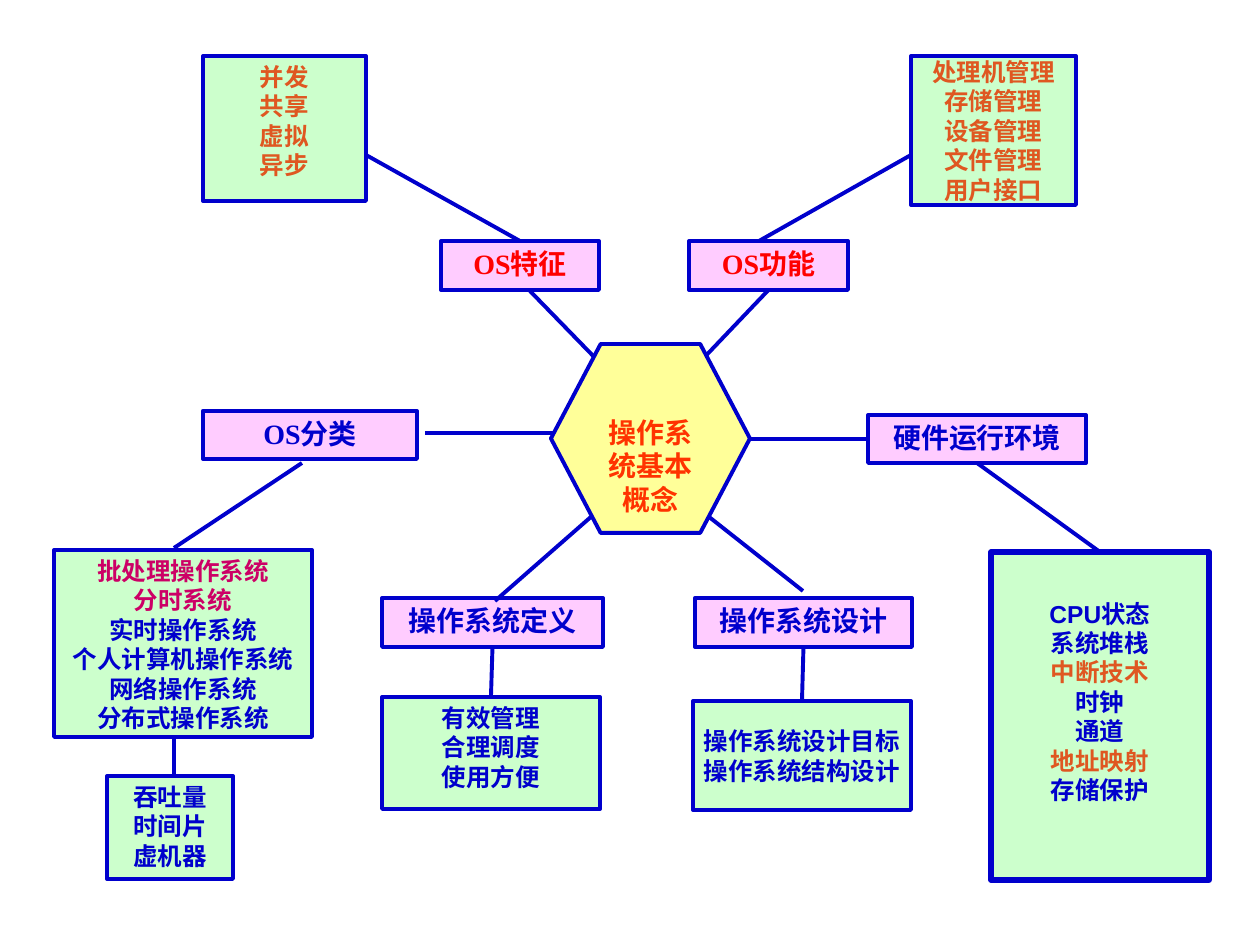
from dataclasses import dataclass
from lxml.etree import SubElement
from pptx import Presentation
from pptx.dml.color import RGBColor
from pptx.enum.shapes import MSO_CONNECTOR, MSO_SHAPE
from pptx.enum.text import MSO_ANCHOR, PP_ALIGN
from pptx.oxml.ns import qn
from pptx.util import Pt

SCALE = 914400 / 126  # EMU in one px


@dataclass(frozen=True)
class Theme:
    blue: str = "0000CC"
    red: str = "FF0000"
    rust: str = "DF5721"
    wine: str = "CC0066"
    flame: str = "FF3300"
    green: str = "CCFFCC"
    pink: str = "FFCCFF"
    yellow: str = "FFFF99"
    serif: str = "Times New Roman"
    sans: str = "Arial"
    head: int = 16
    body: int = 14
    thin: float = 2.25
    thick: float = 3


def emu(px):
    return round(px * SCALE)


def rgb(code):
    return RGBColor.from_string(code)


class Map:
    def __init__(self, slide, theme):
        self.slide = slide
        self.theme = theme

    def node(self, kind, at, fill, width=None):
        shape = self.slide.shapes.add_shape(kind, *map(emu, at))
        shape.shadow.inherit = False
        shape.fill.solid()
        shape.fill.fore_color.rgb = rgb(fill)
        shape.line.color.rgb = rgb(self.theme.blue)
        shape.line.width = Pt(width or self.theme.thin)
        return shape

    def label(self, shape, rows, font, size, middle=False, top=6, base=6):
        """Each row is a pair of text and colour."""
        frame = shape.text_frame
        frame.word_wrap = not middle
        frame.vertical_anchor = MSO_ANCHOR.MIDDLE if middle else MSO_ANCHOR.TOP
        frame.margin_top, frame.margin_bottom = emu(top), emu(base)
        for i, (text, color) in enumerate(rows):
            para = frame.add_paragraph() if i else frame.paragraphs[0]
            para.alignment = PP_ALIGN.CENTER
            run = para.add_run()
            run.text = text
            run.font.name = font
            run.font.size = Pt(size)
            run.font.bold = True
            run.font.color.rgb = rgb(color)

    def topic(self, at, text, color):
        shape = self.node(MSO_SHAPE.RECTANGLE, at, self.theme.pink)
        self.label(shape, [(text, color)], self.theme.serif, self.theme.head)
        return shape

    def detail(self, at, text, color, marks=None, middle=False, base=6, width=None):
        """One line per word; marks gives some words their own colour."""
        marks = marks or {}
        rows = [(word, marks.get(word, color)) for word in text.split()]
        shape = self.node(MSO_SHAPE.RECTANGLE, at, self.theme.green, width)
        font = self.theme.sans if middle else self.theme.serif
        self.label(shape, rows, font, self.theme.body, middle, base=base)
        return shape

    def core(self, at, text):
        shape = self.node(MSO_SHAPE.HEXAGON, at, self.theme.yellow)
        shape.adjustments[0] = 0.263
        self.label(shape, [(text, self.theme.flame)], self.theme.sans,
                   self.theme.head, top=40)

    def link(self, start, end, head=None, tail=None):
        """head and tail are pairs of shape and side to join."""
        line = self.slide.shapes.add_connector(
            MSO_CONNECTOR.STRAIGHT, *map(emu, start + end))
        line.line.color.rgb = rgb(self.theme.blue)
        line.line.width = Pt(self.theme.thin)
        SubElement(line.element.spPr, qn("a:effectLst"))
        if head:
            line.begin_connect(*head)
        if tail:
            line.end_connect(*tail)


def main():
    deck = Presentation()
    deck.slide_width, deck.slide_height = emu(1260), emu(945)
    look = Theme()
    chart = Map(deck.slides.add_slide(deck.slide_layouts[6]), look)

    # Topics around the core
    sense = chart.topic((382, 598, 221, 49), "操作系统定义", look.blue)
    task = chart.topic((689, 241, 159, 49), "OS功能", look.red)
    trait = chart.topic((441, 241, 158, 49), "OS特征", look.red)
    chart.topic((203, 411, 214, 48), "OS分类", look.blue)
    host = chart.topic((868, 415, 218, 48), "硬件运行环境", look.blue)
    design = chart.topic((695, 598, 217, 49), "操作系统设计", look.blue)

    # Details of each topic
    chart.detail((54, 550, 258, 187),
                 "批处理操作系统 分时系统 实时操作系统 "
                 "个人计算机操作系统 网络操作系统 分布式操作系统", look.blue,
                 {"批处理操作系统": look.wine, "分时系统": look.wine})
    chart.detail((203, 56, 163, 145), "并发 共享 虚拟 异步", look.rust)
    aims = chart.detail((382, 697, 218, 112), "有效管理 合理调度 使用方便", look.blue)
    chart.detail((107, 776, 126, 103), "吞吐量 时间片 虚机器", look.blue)
    plan = chart.detail((693, 701, 218, 109), "操作系统设计目标 操作系统结构设计",
                        look.blue, middle=True)
    parts = chart.detail((991, 552, 218, 328),
                         "CPU状态 系统堆栈 中断技术 时钟 通道 地址映射 存储保护",
                         look.blue, {"中断技术": look.rust, "地址映射": look.rust},
                         middle=True, base=35, width=look.thick)
    chart.detail((911, 56, 165, 149), "处理机管理 存储管理 设备管理 文件管理 用户接口",
                 look.rust, middle=True)

    # Lines from the core to the topics
    chart.link((530, 291), (600, 363))
    chart.link((769, 291), (699, 363), head=(task, 2))
    chart.link((495, 601), (600, 509))
    chart.link((803, 591), (699, 509))
    chart.link((554, 433), (425, 433))
    chart.link((750, 439), (864, 439), tail=(host, 1))

    # Lines from the topics to their details
    chart.link((492, 647), (491, 697), (sense, 2), (aims, 0))
    chart.link((803, 647), (802, 701), (design, 2), (plan, 0))
    chart.link((977, 463), (1096, 548), (host, 2), (parts, 0))
    chart.link((302, 463), (174, 548))
    chart.link((174, 737), (174, 776))
    chart.link((911, 155), (759, 241))
    chart.link((520, 241), (366, 155), head=(trait, 0))

    # Core on top
    chart.core((551, 344, 199, 189), "操作系统基本概念")
    deck.save("out.pptx")


if __name__ == "__main__":
    main()
